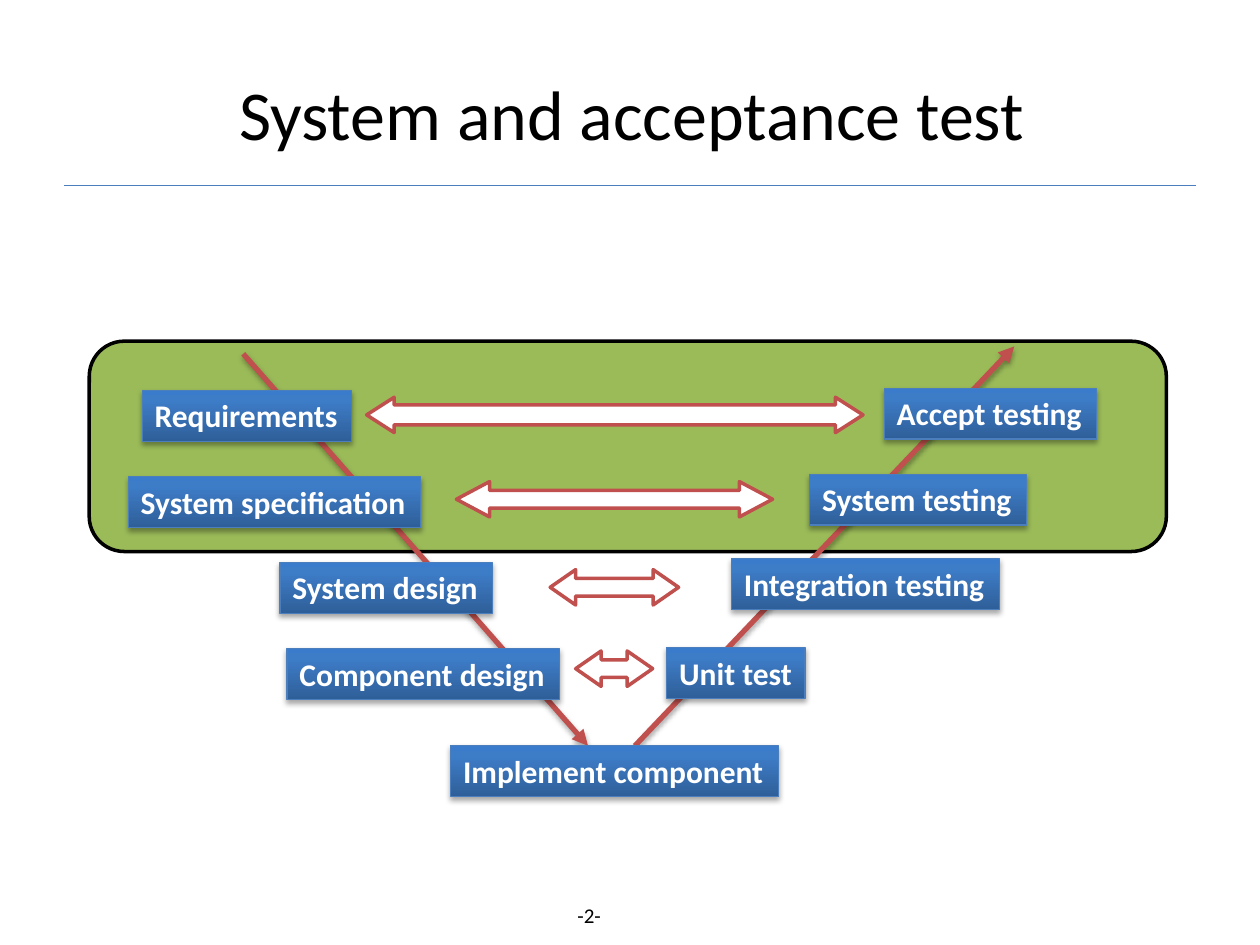
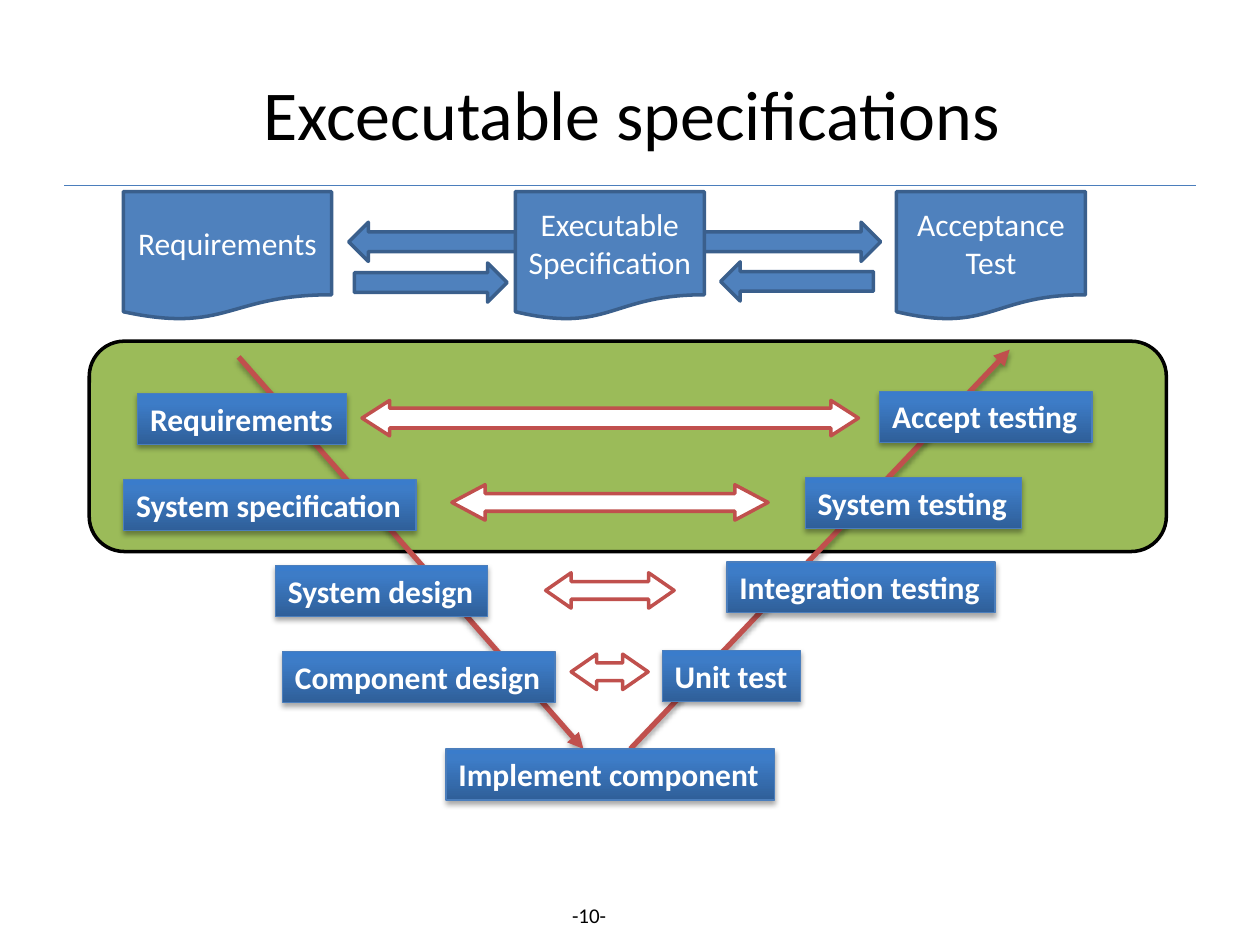
from lxml import etree
from pptx import Presentation
from pptx.dml import color
from pptx.enum import shapes, text
from pptx.oxml import ns
from pptx import util as u

Pt = u.Pt
KIND = shapes.MSO_SHAPE
ALIGN = text.PP_ALIGN
ANCHOR = text.MSO_ANCHOR

FONT = "Calibri"
BLACK, WHITE = "000000", "FFFFFF"
GREEN, RED = "9BBB59", "C0504D"
BLUE, DARK_BLUE, EDGE_BLUE = "4F81BD", "3A5F8C", "4B7EBC"
LABEL_STOPS = [(0, "2F5F99"), (80, "3D7CC7"), (100, "3A7CCB")]

LABEL_HEIGHT = 29.1
PAIR_HEIGHT = 20.2

# V-model, top to bottom: text, left, top, width
LABELS = [
    ("Requirements", 81.3, 223, 119.5),
    ("System specification", 73.3, 272.2, 167),
    ("System design", 160, 321.3, 121.3),
    ("Component design", 164, 370.5, 155.7),
    ("Accept testing", 505.3, 221.8, 121.3),
    ("System testing", 462.7, 271, 123.8),
    ("Integration testing", 418, 319.3, 153.2),
    ("Unit test", 381, 370, 79),
    ("Implement component", 257.5, 426.2, 187.5),
]
# Arrows between the levels: left, top, width, shaft and head adjustments
LEVEL_PAIRS = [
    (209.5, 227, 283.7, 0.56, 0.78),
    (260.8, 275.2, 180.7, 0.5, 0.94),
    (314.4, 325.5, 73.4, 0.5, 0.72),
    (329, 372, 44, 0.5, 0.72),
]
# Legs of the V: start x, start y, end x, end y
LEGS = [(139, 202.2, 336, 426.2), (362.8, 426.2, 579.6, 198)]


def rgb(value):
    return color.RGBColor.from_string(value)


def add_xml(parent, tag, **attributes):
    child = etree.SubElement(parent, ns.qn("a:" + tag))
    for key, value in attributes.items():
        child.set(key, str(value))
    return child


class Deck:
    def __init__(self):
        self.prs = Presentation()
        self.prs.slide_width, self.prs.slide_height = Pt(720), Pt(540)
        self.slide = None

    def new_slide(self, title, number):
        self.slide = self.prs.slides.add_slide(self.prs.slide_layouts[6])
        self.line(36.7, 106, 683.3, 106, EDGE_BLUE, 0.75)
        self.text(f"-{number}- ", 318.2, 512, 39.6, 21.6, 12)
        self.text(title, 70.5, 19.5, 581, 90, 40, ANCHOR.MIDDLE)

    def set_words(self, shape, words, size, ink, align=ALIGN.CENTER,
                  anchor=ANCHOR.MIDDLE, wrap=True, bold=False):
        frame = shape.text_frame
        frame.text = words
        frame.word_wrap = wrap
        frame.vertical_anchor = anchor
        paragraph = frame.paragraphs[0]
        paragraph.alignment = align
        font = paragraph.runs[0].font
        font.name, font.size, font.bold = FONT, Pt(size), bold
        font.color.rgb = rgb(ink)

    def text(self, words, x, y, w, h, size, anchor=ANCHOR.TOP):
        box = self.slide.shapes.add_textbox(Pt(x), Pt(y), Pt(w), Pt(h))
        self.set_words(box, words, size, BLACK, anchor=anchor)

    def effects(self, shape, shadow=False):
        """Replace the theme's effects by none, or by a soft shadow below."""
        effect_list = add_xml(shape._element.spPr, "effectLst")
        if shadow:
            outer = add_xml(effect_list, "outerShdw", blurRad=Pt(3.1), dist=Pt(1.8),
                            dir=90 * 60000, rotWithShape=0)
            add_xml(add_xml(outer, "srgbClr", val=BLACK), "alpha", val=35000)

    def line(self, x1, y1, x2, y2, ink, width, arrow=False):
        connector = self.slide.shapes.add_connector(
            shapes.MSO_CONNECTOR.STRAIGHT, Pt(x1), Pt(y1), Pt(x2), Pt(y2))
        connector.line.color.rgb = rgb(ink)
        connector.line.width = Pt(width)
        if arrow:
            line_xml = connector._element.spPr.find(ns.qn("a:ln"))
            add_xml(line_xml, "tailEnd", type="triangle")
        self.effects(connector, shadow=arrow)

    def shape(self, kind, x, y, w, h, fill, edge, width=2, adjust=(), shadow=False):
        shape = self.slide.shapes.add_shape(kind, Pt(x), Pt(y), Pt(w), Pt(h))
        if fill:
            shape.fill.solid()
            shape.fill.fore_color.rgb = rgb(fill)
        shape.line.color.rgb = rgb(edge)
        shape.line.width = Pt(width)
        for index, value in enumerate(adjust):
            shape.adjustments[index] = value
        self.effects(shape, shadow)
        return shape

    def label(self, words, x, y, w):
        label = self.shape(KIND.RECTANGLE, x, y, w, LABEL_HEIGHT, None, EDGE_BLUE,
                           0.75, shadow=True)
        label.fill.gradient()
        label.fill.gradient_angle = 90
        stops = label._element.spPr.find(".//" + ns.qn("a:gsLst"))
        for stop in list(stops):
            stops.remove(stop)
        for position, ink in LABEL_STOPS:
            add_xml(add_xml(stops, "gs", pos=position * 1000), "srgbClr", val=ink)
        self.set_words(label, words, 18, WHITE, ALIGN.LEFT, ANCHOR.TOP, False, True)
        label.text_frame.auto_size = text.MSO_AUTO_SIZE.SHAPE_TO_FIT_TEXT

    def document(self, words, x, w):
        page = self.shape(KIND.FLOWCHART_DOCUMENT, x, 109.5, w, 73.5, BLUE, DARK_BLUE)
        self.set_words(page, words, 18, WHITE)

    def block_arrow(self, kind, x, y, w):
        return self.shape(kind, x, y, w, 22.4, BLUE, DARK_BLUE)

    def v_model(self, dx=0, dy=0):
        self.shape(KIND.ROUNDED_RECTANGLE, 51, 195, 615.5, 120.2, GREEN, BLACK)
        for x1, y1, x2, y2 in LEGS:
            self.line(x1 + dx, y1 + dy, x2 + dx, y2 + dy, RED, 3, arrow=True)
        for words, x, y, w in LABELS:
            self.label(words, x + dx, y + dy, w)
        for x, y, w, shaft, head in LEVEL_PAIRS:
            self.shape(KIND.LEFT_RIGHT_ARROW, x + dx, y + dy, w, PAIR_HEIGHT,
                       WHITE, RED, adjust=(shaft, head))


def main():
    deck = Deck()

    # V-model with the system and acceptance levels marked
    deck.new_slide("System and acceptance test", 2)
    deck.v_model()

    # The same V-model, with the executable specification above it
    deck.new_slide("Excecutable specifications", 10)
    deck.v_model(dx=-2.6, dy=1.8)
    deck.document("Requirements", 70.5, 119)
    deck.document("Acceptance Test", 512.3, 108)
    deck.block_arrow(KIND.LEFT_RIGHT_ARROW, 199.3, 127, 304)
    deck.document("Executable Specification", 294.5, 108)
    deck.block_arrow(KIND.RIGHT_ARROW, 202.5, 150.3, 87.3)
    from_test = deck.block_arrow(KIND.RIGHT_ARROW, 411.8, 149.6, 87.3)
    from_test.rotation = 180

    deck.prs.save("out.pptx")


if __name__ == "__main__":
    main()
